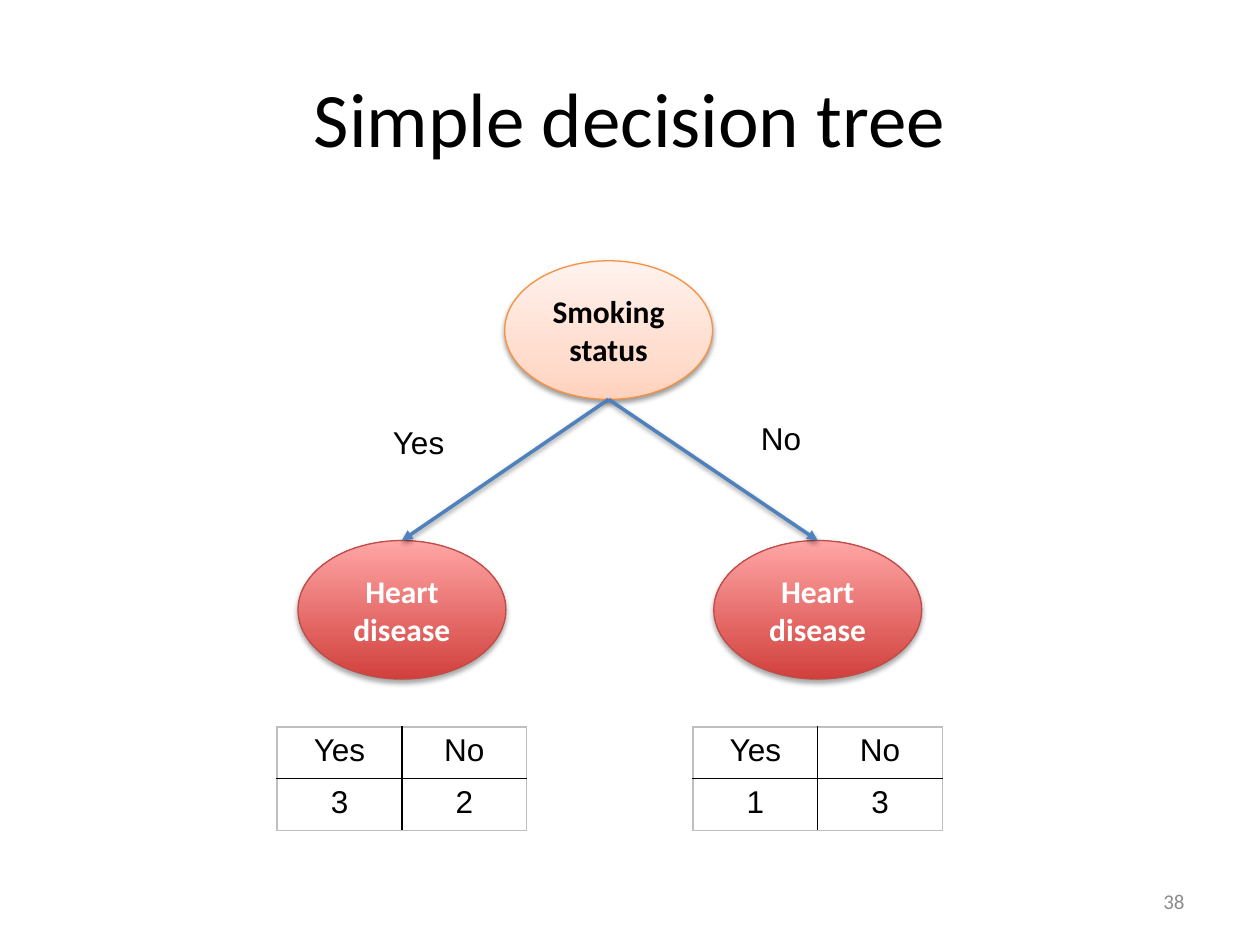
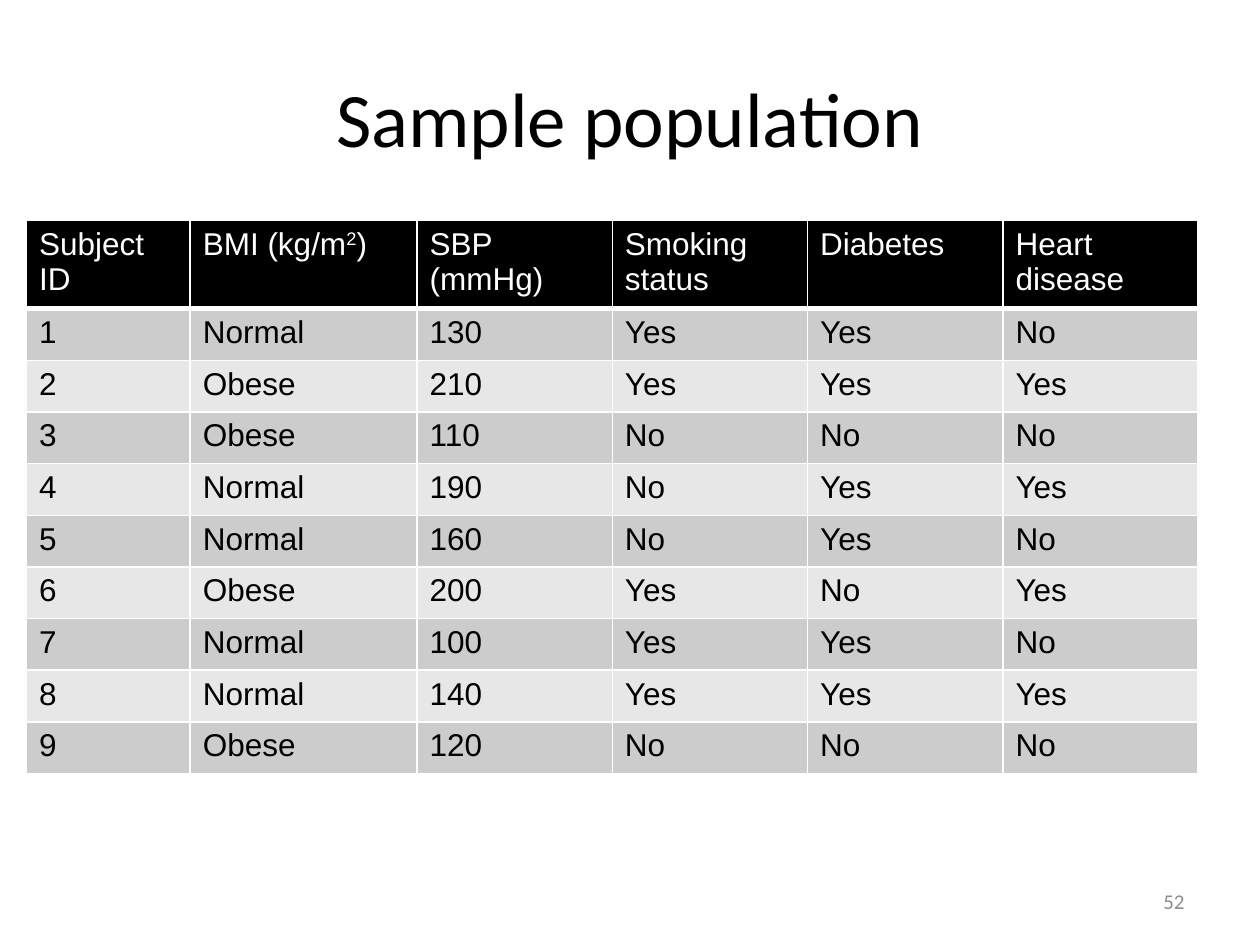
from lxml import etree
from pptx import Presentation
from pptx.dml.color import RGBColor
from pptx.enum import dml, shapes, text
from pptx.oxml import ns
from pptx.util import Inches, Pt

TREE_TITLE = "Simple decision tree"
ROOT = "Smoking status"
BRANCHES = [
    {"answer": "Yes", "answer_at": (3.02, 3.31), "answer_width": 1.04,
     "leaf": "Heart disease", "counts": [("Yes", "No"), ("3", "2")]},
    {"answer": "No", "answer_at": (5.94, 3.28), "answer_width": 0.92,
     "leaf": "Heart disease", "counts": [("Yes", "No"), ("1", "3")]},
]
POPULATION_TITLE = "Sample population"
SUBJECTS = [
    ("Subject ID", ("BMI (kg/m", "2", ")"), "SBP (mmHg)", "Smoking status", "Diabetes", "Heart disease"),
    ("1", "Normal", "130", "Yes", "Yes", "No"),
    ("2", "Obese", "210", "Yes", "Yes", "Yes"),
    ("3", "Obese", "110", "No", "No", "No"),
    ("4", "Normal", "190", "No", "Yes", "Yes"),
    ("5", "Normal", "160", "No", "Yes", "No"),
    ("6", "Obese", "200", "Yes", "No", "Yes"),
    ("7", "Normal", "100", "Yes", "Yes", "No"),
    ("8", "Normal", "140", "Yes", "Yes", "Yes"),
    ("9", "Obese", "120", "No", "No", "No"),
]
SUBJECT_WIDTHS = [1.3, 1.8] + [1.55] * 4

COLORS = {
    "black": "000000", "white": "FFFFFF", "number": "8C8C8C", "arrow": "4F81BD",
    "root_line": "F69240", "leaf_line": "BF4C48", "grid_edge": "BFBFBF",
    "band_dark": "CCCCCC", "band_light": "E7E7E7",
}
ROOT_STOPS = [(0, "FFD2BD"), (35, "FFDED0"), (100, "FFF2ED")]
LEAF_STOPS = [(0, "D1403C"), (100, "FFA6A5")]
HEADING_FONT, BODY_FONT = "Calibri", "Arial"
NODE_WIDTH, NODE_HEIGHT = 1.65, 1.1
ROOT_X, ROOT_TOP = 4.83, 2.07
LEAF_XS, LEAF_TOP = (3.19, 6.49), 4.29
COUNTS_TOP, COUNT_WIDTH = 5.77, 0.99
ROW_HEIGHT, HEADER_HEIGHT = 0.41, 0.66
LEFT, CENTER, RIGHT = text.PP_ALIGN.LEFT, text.PP_ALIGN.CENTER, text.PP_ALIGN.RIGHT


def rgb(name):
    return RGBColor.from_string(COLORS[name])


def add_xml(parent, tag, **attributes):
    return etree.SubElement(parent, ns.qn(tag), {key: str(value) for key, value in attributes.items()})


def write(frame, content, size=18, font=BODY_FONT, color="black", align=LEFT, bold=False):
    paragraph = frame.paragraphs[0]
    pieces = (content,) if isinstance(content, str) else content
    for index, piece in enumerate(pieces):
        run = paragraph.add_run()
        run.text = piece
        if index % 2:
            run._r.get_or_add_rPr().set("baseline", "30000")
    paragraph.alignment = align
    paragraph.font.size = Pt(size)
    paragraph.font.name = font
    paragraph.font.bold = bold
    paragraph.font.color.rgb = rgb(color)


def add_shadow(shape, alpha, distance):
    properties = shape._element.spPr
    for inherited in properties.findall(ns.qn("a:effectLst")):
        properties.remove(inherited)
    effects = add_xml(properties, "a:effectLst")
    shadow = add_xml(effects, "a:outerShdw", blurRad=Pt(3.1), dist=Pt(distance),
                     dir=5400000, rotWithShape=0)
    add_xml(add_xml(shadow, "a:srgbClr", val=COLORS["black"]), "a:alpha", val=alpha * 1000)


def add_label(slide, content, left, top, width, height=0.4, anchor=text.MSO_ANCHOR.TOP, **style):
    frame = slide.shapes.add_textbox(Inches(left), Inches(top), Inches(width), Inches(height)).text_frame
    frame.word_wrap = True
    frame.vertical_anchor = anchor
    write(frame, content, **style)


def add_titled_slide(deck, title, number):
    slide = deck.slides.add_slide(deck.slide_layouts[5])
    heading = slide.shapes.title
    heading.left, heading.top, heading.width, heading.height = map(Inches, (0.5, 0.3, 9, 1.25))
    heading.text_frame.vertical_anchor = text.MSO_ANCHOR.MIDDLE
    write(heading.text_frame, title, size=44, font=HEADING_FONT, align=CENTER)
    add_label(slide, number, 7.17, 6.95, 2.33, anchor=text.MSO_ANCHOR.MIDDLE,
              size=12, font=HEADING_FONT, color="number", align=RIGHT)
    return slide


def add_node(slide, label, center, top, stops, line, color, alpha, distance):
    node = slide.shapes.add_shape(shapes.MSO_SHAPE.OVAL, Inches(center - NODE_WIDTH / 2), Inches(top),
                                  Inches(NODE_WIDTH), Inches(NODE_HEIGHT))
    node.fill.gradient()
    node.fill.gradient_angle = 90
    stop_list = node._element.spPr.find(".//" + ns.qn("a:gsLst"))
    for default_stop in list(stop_list):
        stop_list.remove(default_stop)
    for position, shade in stops:
        add_xml(add_xml(stop_list, "a:gs", pos=position * 1000), "a:srgbClr", val=shade)
    node.line.color.rgb = rgb(line)
    node.line.width = Pt(0.75)
    node.shadow.inherit = False
    add_shadow(node, alpha, distance)
    node.text_frame.word_wrap = True
    node.text_frame.vertical_anchor = text.MSO_ANCHOR.MIDDLE
    write(node.text_frame, label, font=HEADING_FONT, color=color, align=CENTER, bold=True)


def add_arrow(slide, start, end):
    arrow = slide.shapes.add_connector(shapes.MSO_CONNECTOR.STRAIGHT, *map(Inches, start + end))
    arrow.line.color.rgb = rgb("arrow")
    arrow.line.width = Pt(2)
    add_xml(arrow.line._get_or_add_ln(), "a:tailEnd", type="triangle")
    add_shadow(arrow, 38, 1.6)


def add_borders(cell, edges):
    properties = cell._tc.get_or_add_tcPr()
    for side in "LRTB":
        color, width = edges[side]
        line = add_xml(properties, "a:ln" + side, w=Pt(width))
        add_xml(add_xml(line, "a:solidFill"), "a:srgbClr", val=COLORS[color])


def add_grid(slide, rows, left, top, widths, heights, cell_style):
    grid = slide.shapes.add_table(len(rows), len(widths), Inches(left), Inches(top),
                                  Inches(sum(widths)), Inches(sum(heights))).table
    grid.first_row = grid.horz_banding = False
    for column, width in zip(grid.columns, widths):
        column.width = Inches(width)
    for r, (values, height) in enumerate(zip(rows, heights)):
        grid.rows[r].height = Inches(height)
        for c, value in enumerate(values):
            cell = grid.cell(r, c)
            edges, fill, style = cell_style(r, c)
            add_borders(cell, edges)
            if fill:
                cell.fill.solid()
                cell.fill.fore_color.rgb = rgb(fill)
            else:
                cell.fill.background()
            write(cell.text_frame, value, **style)


def count_style(r, c):
    inner = {"LR"[1 - c], "TB"[1 - r]}
    edges = {side: ("black" if side in inner else "grid_edge", 1) for side in "LRTB"}
    return edges, None, {"align": CENTER}


def subject_style(r, c):
    edges = dict.fromkeys("LRTB", ("white", 1))
    if r == 0:
        edges["B"] = ("white", 3)
        return edges, "black", {"color": "white"}
    return edges, "band_dark" if r % 2 else "band_light", {}


def build_tree(deck):
    slide = add_titled_slide(deck, TREE_TITLE, "38")
    add_node(slide, ROOT, ROOT_X, ROOT_TOP, ROOT_STOPS, "root_line", "black", 38, 1.6)
    for branch, x in zip(BRANCHES, LEAF_XS):
        add_node(slide, branch["leaf"], x, LEAF_TOP, LEAF_STOPS, "leaf_line", "white", 35, 1.8)
        add_arrow(slide, (ROOT_X, ROOT_TOP + NODE_HEIGHT), (x, LEAF_TOP))
        add_label(slide, branch["answer"], *branch["answer_at"], branch["answer_width"])
        add_grid(slide, branch["counts"], x - COUNT_WIDTH, COUNTS_TOP,
                 [COUNT_WIDTH] * 2, [ROW_HEIGHT] * 2, count_style)


def build_population(deck):
    slide = add_titled_slide(deck, POPULATION_TITLE, "52")
    heights = [HEADER_HEIGHT] + [ROW_HEIGHT] * (len(SUBJECTS) - 1)
    add_grid(slide, SUBJECTS, 0.21, 1.75, SUBJECT_WIDTHS, heights, subject_style)


def main():
    deck = Presentation()
    deck.slide_width, deck.slide_height = Inches(10), Inches(7.5)
    build_tree(deck)
    build_population(deck)
    deck.save("out.pptx")


if __name__ == "__main__":
    main()
